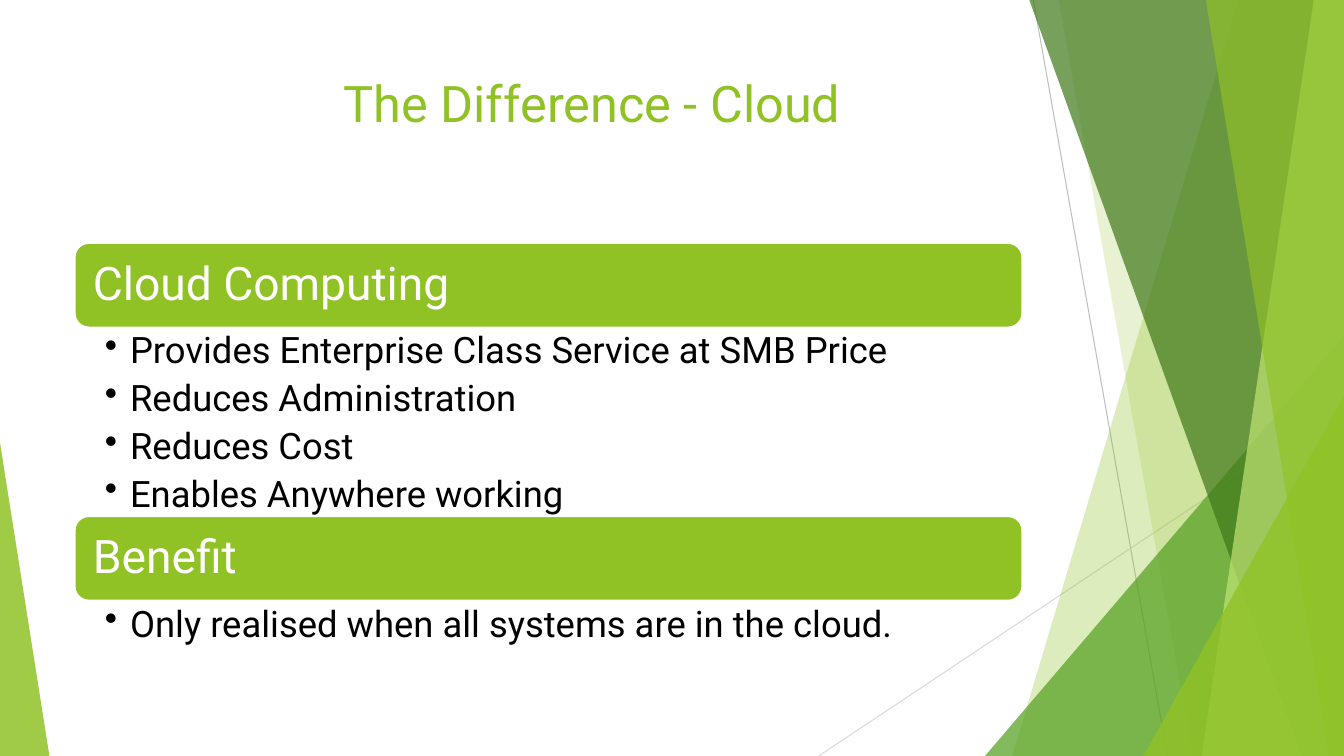
import dataclasses

import pptx
import pptx.dml.color
import pptx.enum.shapes
import pptx.enum.text
import pptx.oxml.ns
import pptx.util
from lxml import etree

RGBColor = pptx.dml.color.RGBColor
LIME = RGBColor(0x90, 0xC2, 0x26)
GREEN = RGBColor(0x54, 0xA0, 0x21)
FOREST = RGBColor(0x3F, 0x78, 0x19)
PALE = RGBColor(0xC0, 0xE4, 0x74)
GREY = RGBColor(0xBF, 0xBF, 0xBF)
LIGHT_GREY = RGBColor(0xD9, 0xD9, 0xD9)
WHITE = RGBColor(0xFF, 0xFF, 0xFF)
BLACK = RGBColor(0, 0, 0)
FONT = "Roboto"
SHAPES = pptx.enum.shapes.MSO_SHAPE
ANCHOR = pptx.enum.text.MSO_ANCHOR

# Each section: heading, bullets, share of the content height for the bullets
BAR_SHARE = 20.24
SECTIONS = [
    ("Cloud Computing", ["Provides Enterprise Class Service at SMB Price",
                         "Reduces Administration", "Reduces Cost",
                         "Enables Anywhere working"], 45.06),
    ("Benefit", ["Only realised when all systems are in the cloud."], 14.46),
]

# Shards reach the right edge: top x, bottom x in percent, colour, opacity
BACK_SHARDS = [(92.12, 75.32, LIME, 30), (78.77, 88.75, LIME, 20)]
FRONT_SHARDS = [(76.59, 96.85, FOREST, 70), (97.75, 89.42, PALE, 70),
                (89.72, 98.87, LIME, 65)]


@dataclasses.dataclass
class Box:
    left: int
    top: int
    width: int
    height: int

    def point(self, x, y):
        return (round(self.left + self.width * x / 100),
                round(self.top + self.height * y / 100))

    def area(self, x, y, width, height):
        return Box(*self.point(x, y), round(self.width * width / 100),
                   round(self.height * height / 100))

    def frame(self):
        return self.left, self.top, self.width, self.height


def add_xml(parent, tag, **attributes):
    return etree.SubElement(parent, pptx.oxml.ns.qn(tag), attributes)


def paint(shape, color, opacity=100):
    shape.shadow.inherit = False
    shape.fill.solid()
    shape.fill.fore_color.rgb = color
    shape.line.fill.background()
    if opacity < 100:
        fill = shape._element.spPr.find(pptx.oxml.ns.qn("a:solidFill"))
        add_xml(fill[0], "a:alpha", val=str(opacity * 1000))


def write(shape, lines, size, color, insets, anchor=ANCHOR.TOP, spacing=1.0,
          after=0, bullet=False):
    frame = shape.text_frame
    frame.word_wrap = True
    frame.vertical_anchor = anchor
    left, vertical, right = map(pptx.util.Inches, insets)
    frame.margin_left, frame.margin_right = left, right
    frame.margin_top = frame.margin_bottom = vertical
    for index, line in enumerate(lines):
        paragraph = frame.add_paragraph() if index else frame.paragraphs[0]
        paragraph.alignment = pptx.enum.text.PP_ALIGN.LEFT
        paragraph.line_spacing = spacing
        paragraph.space_after = pptx.util.Pt(after)
        if bullet:
            indent = pptx.util.Inches(0.25)
            properties = paragraph._p.get_or_add_pPr()
            properties.set("marL", str(indent))
            properties.set("indent", str(-indent))
            add_xml(properties, "a:buChar", char="•")
        run = paragraph.add_run()
        run.text = line
        run.font.name = FONT
        run.font.size = pptx.util.Pt(size)
        run.font.color.rgb = color


def add_decoration(shapes, box):
    def add_line(start, end, color):
        line = shapes.add_connector(pptx.enum.shapes.MSO_CONNECTOR.STRAIGHT,
                                    *box.point(*start), *box.point(*end))
        line.line.color.rgb = color
        line.line.width = pptx.util.Pt(0.75)
        add_xml(line._element.spPr, "a:effectLst")

    def add_shard(top_x, bottom_x, color, opacity):
        builder = shapes.build_freeform(*box.point(top_x, 0))
        builder.add_line_segments([box.point(100, 0), box.point(100, 100),
                                   box.point(bottom_x, 100)], close=True)
        paint(builder.convert_to_shape(), color, opacity)

    def add_triangle(left, top, width, apex, color, opacity):
        area = box.area(left, top, width, 100 - top)
        triangle = shapes.add_shape(SHAPES.ISOSCELES_TRIANGLE, *area.frame())
        triangle.adjustments[0] = apex
        paint(triangle, color, opacity)

    add_line((76.89, 0), (86.87, 100), GREY)
    add_line((100, 53.73), (60.92, 100), LIGHT_GREY)
    for shard in BACK_SHARDS:
        add_shard(*shard)
    add_triangle(73.29, 44.4, 26.71, 1, GREEN, 72)
    for shard in FRONT_SHARDS:
        add_shard(*shard)
    add_triangle(85.07, 52.4, 14.93, 1, LIME, 80)
    add_triangle(0, 58.53, 3.68, 0, LIME, 85)


def add_title(shapes, box):
    title = shapes.add_textbox(*box.frame())
    write(title, ["The Difference - Cloud"], 36, LIME, (0.1, 0.05, 0.1))


def add_sections(shapes, box):
    top = 0
    for heading, bullets, share in SECTIONS:
        # Heading bar
        area = box.area(0, top, 100, BAR_SHARE)
        bar = shapes.add_shape(SHAPES.ROUNDED_RECTANGLE, *area.frame())
        paint(bar, LIME)
        bar.line.color.rgb = WHITE
        bar.line.width = pptx.util.Pt(1.5)
        write(bar, [heading], 33, WHITE, (0.14, 0.14, 0.14), ANCHOR.MIDDLE, 0.9)
        top += BAR_SHARE
        # Bullets below the bar
        body = shapes.add_textbox(*box.area(0, top, 100, share).frame())
        write(body, bullets, 26, BLACK, (0.3, 0.05, 0.26), spacing=0.9,
              after=6, bullet=True)
        top += share


presentation = pptx.Presentation()
presentation.slide_width = pptx.util.Inches(13.33)
presentation.slide_height = pptx.util.Inches(7.5)
slide = presentation.slides.add_slide(presentation.slide_layouts[6])
page = Box(0, 0, presentation.slide_width, presentation.slide_height)

add_decoration(slide.shapes, page)
add_title(slide.shapes, page.area(24.83, 8.93, 51.24, 19.2))
add_sections(slide.shapes, page.area(5.55, 32.13, 70.52, 55.33))
presentation.save("out.pptx")
